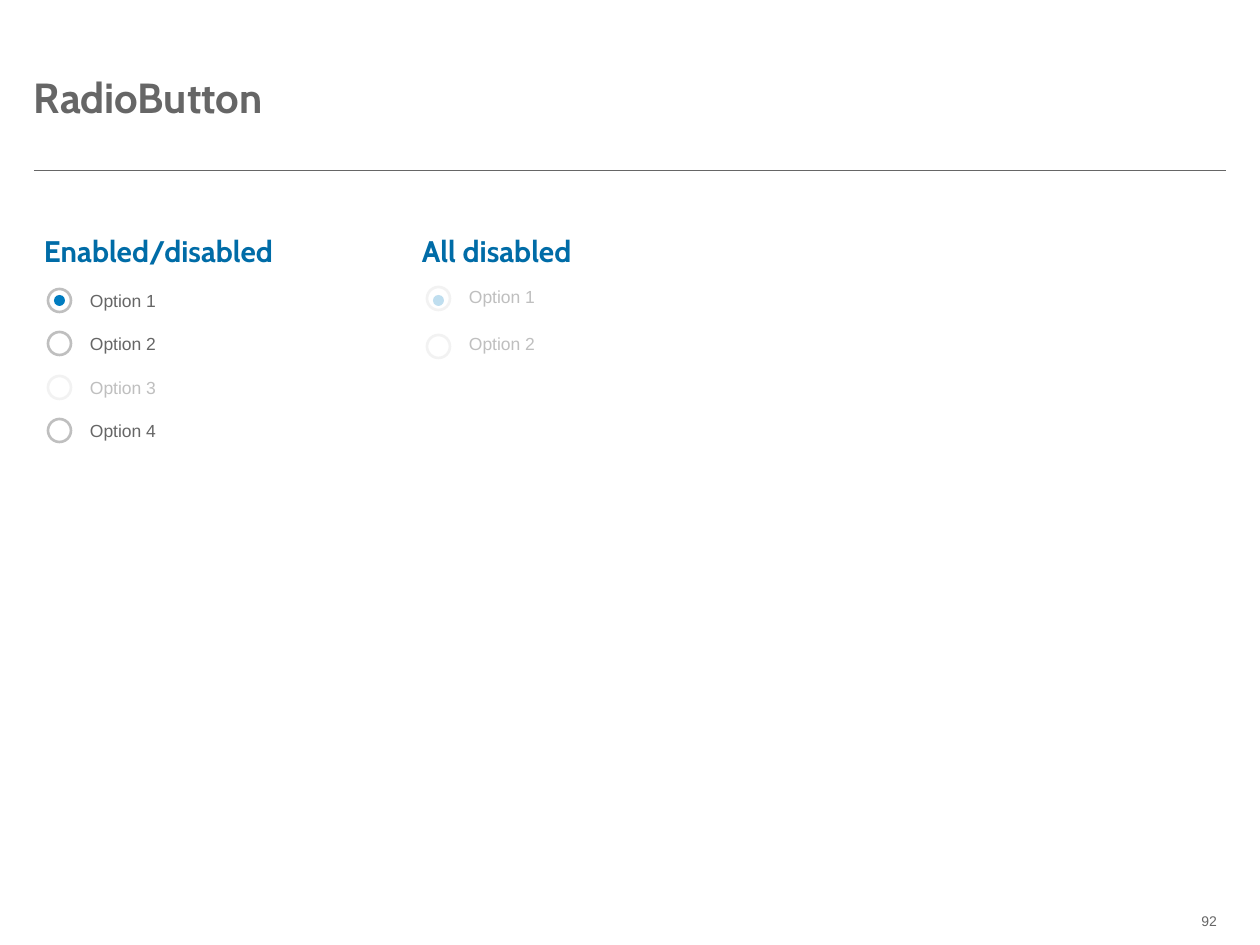
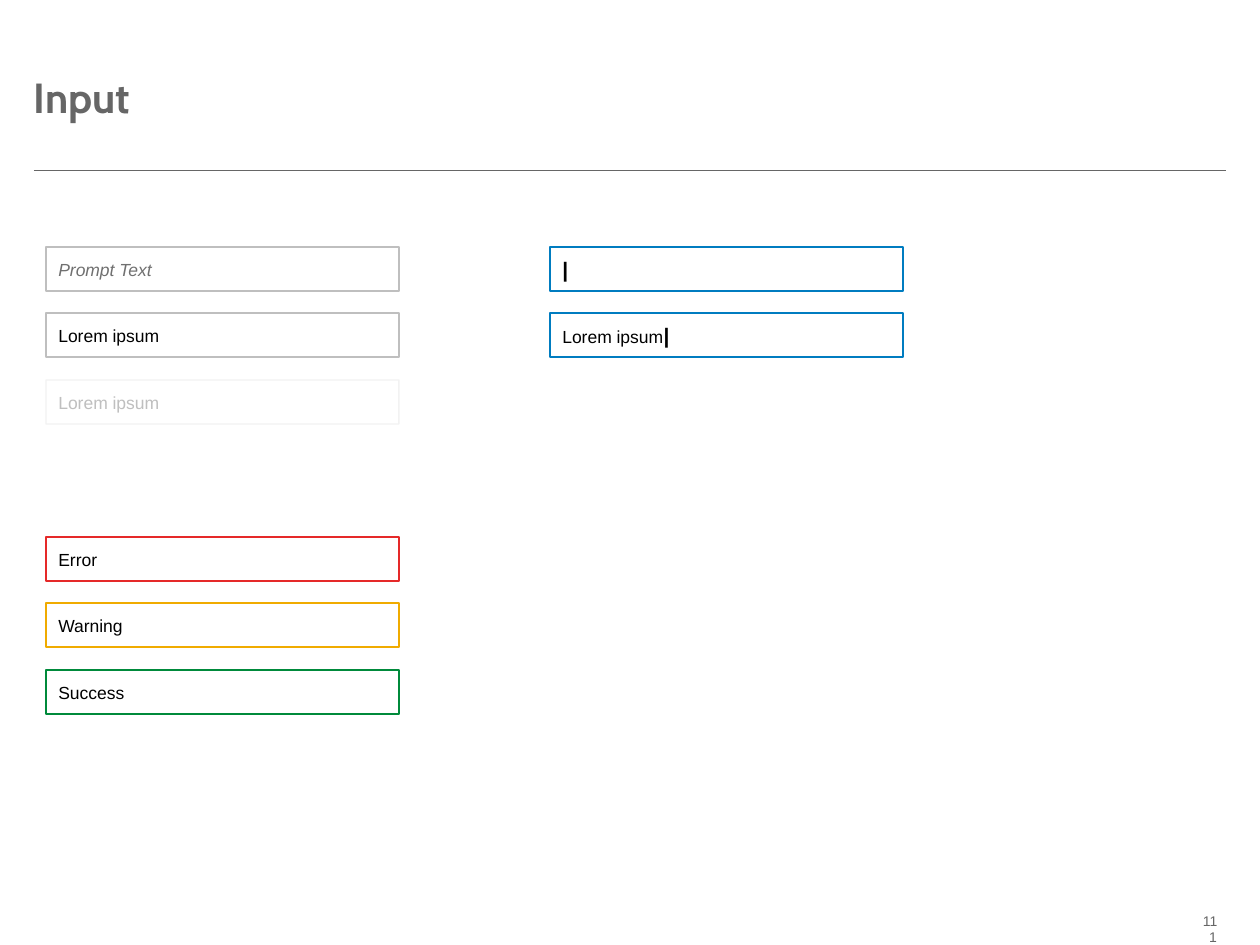
from functools import partial

from lxml import etree
from pptx import Presentation
from pptx import util as u
from pptx.dml.color import RGBColor
from pptx.enum import shapes, text
from pptx.oxml import ns

SCALE = 914400 / 126
GREY, BLACK, WHITE = "666666", "000000", "FFFFFF"
PALE, FAINT = "BFBFBF", "F2F2F2"
BLUE, NAVY, SKY = "007CC0", "006CA7", "BFDEEF"
RED, AMBER, GREEN = "E52929", "F0AB00", "008A3B"
FIELD_W, FIELD_H = 353, 44


def px(*sizes):
    """Turn pixel lengths into EMU."""
    return [u.Emu(round(size * SCALE)) for size in sizes]


def paint(fmt, color, alpha=100):
    """Give a fill a solid colour and an opacity in percent."""
    fmt.solid()
    fmt.fore_color.rgb = RGBColor.from_string(color)
    if alpha < 100:
        tag = fmt._xPr.find(".//" + ns.qn("a:solidFill"))[0]
        etree.SubElement(tag, ns.qn("a:alpha"), val=str(alpha * 1000))


def write(para, words, size=10, color=GREY, font="Arial",
          bold=False, slant=False, track=0):
    """Add one run to a paragraph."""
    run = para.add_run()
    run.text = words
    run.font.name, run.font.size = font, u.Pt(size)
    run.font.bold, run.font.italic = bold, slant
    run.font.color.rgb = RGBColor.from_string(color)
    if track:
        run._r.get_or_add_rPr().set("spc", str(track * 100))


def label(parent, box, words, wrap=True, right=0, align=text.PP_ALIGN.LEFT,
          anchor=text.MSO_ANCHOR.TOP, tab=None, **style):
    """Add a text box with one styled line."""
    frame = parent.add_textbox(*px(*box)).text_frame
    frame.margin_left = frame.margin_top = frame.margin_bottom = 0
    frame.margin_right = px(right)[0]
    frame.word_wrap, frame.vertical_anchor = wrap, anchor
    para = frame.paragraphs[0]
    para.alignment = align
    if tab:
        stops = etree.SubElement(para._p.get_or_add_pPr(), ns.qn("a:tabLst"))
        etree.SubElement(stops, ns.qn("a:tab"), pos=str(px(tab)[0]), algn="l")
    write(para, words, **style)


def shape(parent, kind, box, fill=WHITE, line=None, width=1.5,
          clear=100, fade=100):
    """Add a flat shape with a plain fill and an optional outline."""
    item = parent.add_shape(kind, *px(*box))
    item.shadow.inherit = False
    paint(item.fill, fill, clear)
    if line:
        item.line.width = u.Pt(width)
        paint(item.line.fill, line, fade)
    else:
        item.line.fill.background()
    return item


def page(deck, title, number):
    """Add a slide with its title, rule and page number."""
    parts = deck.slides.add_slide(deck.slide_layouts[6]).shapes
    rule = parts.add_connector(shapes.MSO_CONNECTOR.STRAIGHT,
                               *px(34, 170, 1226, 170))
    rule.line.width = u.Pt(0.5)
    paint(rule.line.fill, GREY)
    etree.SubElement(rule._element.spPr, ns.qn("a:effectLst"))
    label(parts, (1199, 912, 28, 17), str(number), right=10,
          align=text.PP_ALIGN.RIGHT, size=8)
    label(parts, (34, 44, 1193, 105), title, anchor=text.MSO_ANCHOR.MIDDLE,
          size=24, font="Cabin", bold=True)
    return parts


def option(parent, left, top, base, words, live=True, dot=None):
    """Add a radio button with its label and, if chosen, its dot."""
    oval = shapes.MSO_SHAPE.OVAL
    shape(parent, oval, (left, top, 23, 23), line=PALE if live else FAINT)
    if dot:
        shape(parent, oval, (left + 6, 295, 11, 11), fill=dot)
    label(parent, (left + 42, base, 67, 21), words, wrap=False,
          color=GREY if live else PALE)


def field(parts, left, top, words="", line=PALE, width=0.75, caret=None,
          clear=100, fade=100, color=BLACK, slant=False):
    """Add an input box with its value and, if focused, its caret."""
    item = shape(parts, shapes.MSO_SHAPE.RECTANGLE,
                 (left, top, FIELD_W, FIELD_H), line=line, width=width,
                 clear=clear, fade=fade)
    frame = item.text_frame
    frame.word_wrap, frame.vertical_anchor = True, text.MSO_ANCHOR.MIDDLE
    para = frame.paragraphs[0]
    para.alignment = text.PP_ALIGN.LEFT
    if words:
        write(para, words, color=color, slant=slant)
    if caret:
        write(para, caret, size=12, color=BLACK, bold=True, track=-3)


def radios(deck):
    """Build the radio button slide."""
    parts = page(deck, "RadioButton", 92)
    label(parts, (44, 233, 1171, 605), "Enabled/disabled\tAll disabled",
          tab=378, size=17, color=NAVY, font="Cabin", bold=True)
    mixed = parts.add_group_shape().shapes
    for i in range(4):
        top = 289 + i * 87 // 2
        option(mixed, 48, top, top + 1, f"Option {i + 1}", live=i != 2,
               dot=None if i else BLUE)
    muted = parts.add_group_shape().shapes
    option(muted, 427, 287, 286, "Option 1", live=False, dot=SKY)
    option(muted, 427, 335, 333, "Option 2", live=False)


def inputs(deck):
    """Build the input slide."""
    parts = page(deck, "Input", 111)
    rest, focus = partial(field, parts, 46), partial(field, parts, 550)
    first, second, third = (247 + i * 133 // 2 for i in range(3))
    rest(first, "Prompt Text", color="707070", slant=True)
    rest(second, "Lorem ipsum")
    rest(third, "Lorem ipsum", color=PALE, clear=30, fade=20)
    focus(first, line=BLUE, caret="|")
    focus(second, "Lorem ipsum", line=BLUE, caret=" |")
    states = [("Error", RED), ("Warning", AMBER), ("Success", GREEN)]
    for i, (words, color) in enumerate(states):
        rest(537 + i * 133 // 2, words, line=color, width=1.25)


def main():
    """Build and save the deck."""
    deck = Presentation()
    deck.slide_width, deck.slide_height = px(1260, 945)
    radios(deck)
    inputs(deck)
    deck.save("out.pptx")


if __name__ == "__main__":
    main()
